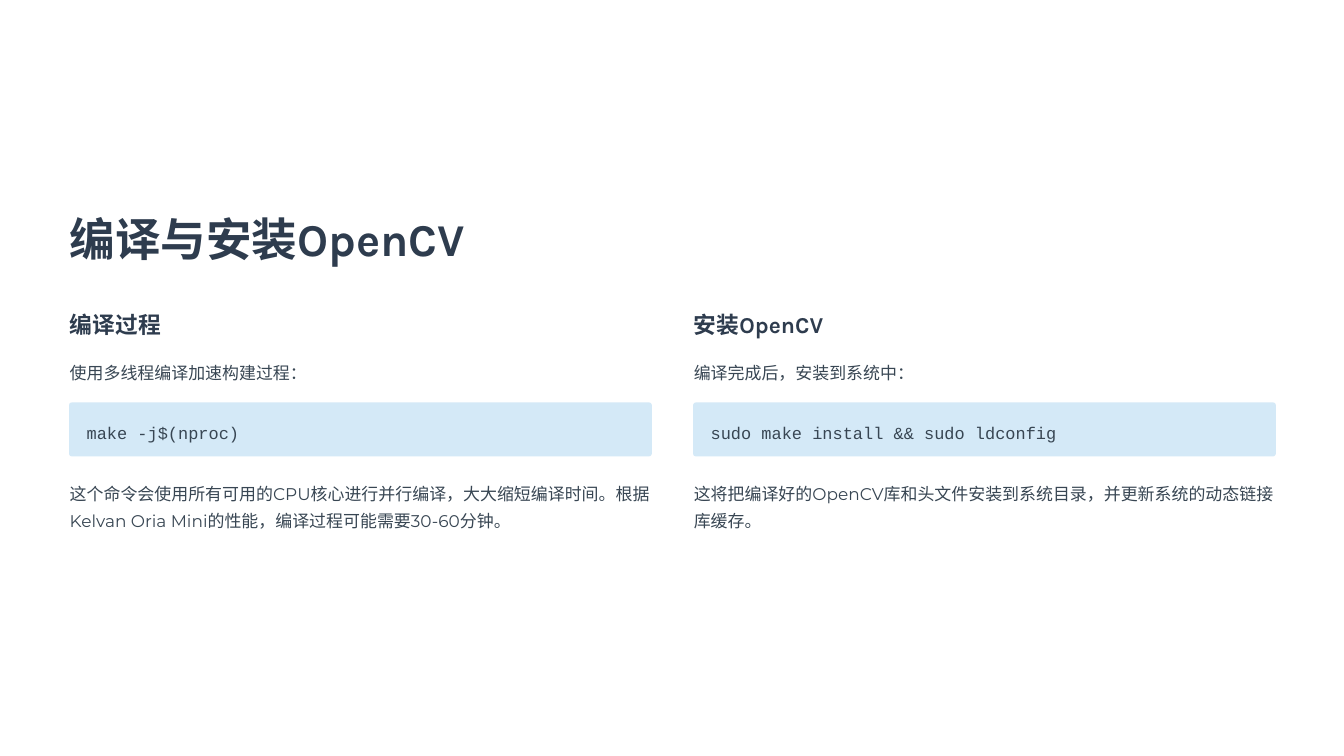
from pptx import Presentation
from pptx.dml.color import RGBColor as Rgb
from pptx.enum.shapes import MSO_SHAPE as Kind
from pptx.util import Cm, Pt

DARK, GREY, BLUE = "2E3C4E", "384653", "D4E9F7"


def tint(text):
    return Rgb.from_string(text)


def write(text, x, y, w, h, size, lead, face, hue, bold=False):
    box = slide.shapes.add_textbox(Cm(x), Cm(y), Cm(w), Cm(h))
    frame = box.text_frame
    frame.word_wrap = True
    frame.margin_left = frame.margin_right = 0
    frame.margin_top = frame.margin_bottom = 0
    line = frame.paragraphs[0]
    line.text = text
    line.line_spacing = Pt(lead)
    font = line.font
    font.name, font.size, font.bold = face, Pt(size), bold
    font.color.rgb = tint(hue)


deck = Presentation()
deck.slide_width, deck.slide_height = Cm(40.64), Cm(22.86)
slide = deck.slides.add_slide(deck.slide_layouts[6])

left, step, wide = 2.11, 18.87, 17.58
write("编译与安装OpenCV", left, 6.3, 13.87, 1.73, 39, 49, "Karla", DARK, True)

columns = [
    ("编译过程", "使用多线程编译加速构建过程：", "make -j$(nproc)",
     "这个命令会使用所有可用的CPU核心进行并行编译，大大缩短编译时间。"
     "根据Kelvan Oria Mini的性能，编译过程可能需要30-60分钟。"),
    ("安装OpenCV", "编译完成后，安装到系统中：",
     "sudo make install && sudo ldconfig",
     "这将把编译好的OpenCV库和头文件安装到系统目录，并更新系统的动态链接库缓存。"),
]

for i, (head, intro, code, note) in enumerate(columns):
    x = left + i * step
    write(head, x, 9.35, 6.93, 0.86, 19.5, 24.5, "Karla", DARK, True)
    write(intro, x, 10.74, wide, 0.84, 14.5, 23.5, "Montserrat", GREY)
    panel = slide.shapes.add_shape(
        Kind.ROUNDED_RECTANGLE, Cm(x - 0.02), Cm(12.17), Cm(wide + 0.04), Cm(1.63))
    panel.adjustments[0] = 0.05
    panel.shadow.inherit = False
    panel.fill.solid()
    panel.fill.fore_color.rgb = tint(BLUE)
    panel.line.fill.background()
    write(code, x + 0.51, 12.57, 16.56, 0.84, 14.5, 23.5, "Courier New", GREY)
    write(note, x, 14.4, wide, 1.68, 14.5, 23.5, "Montserrat", GREY)

deck.save("out.pptx")
